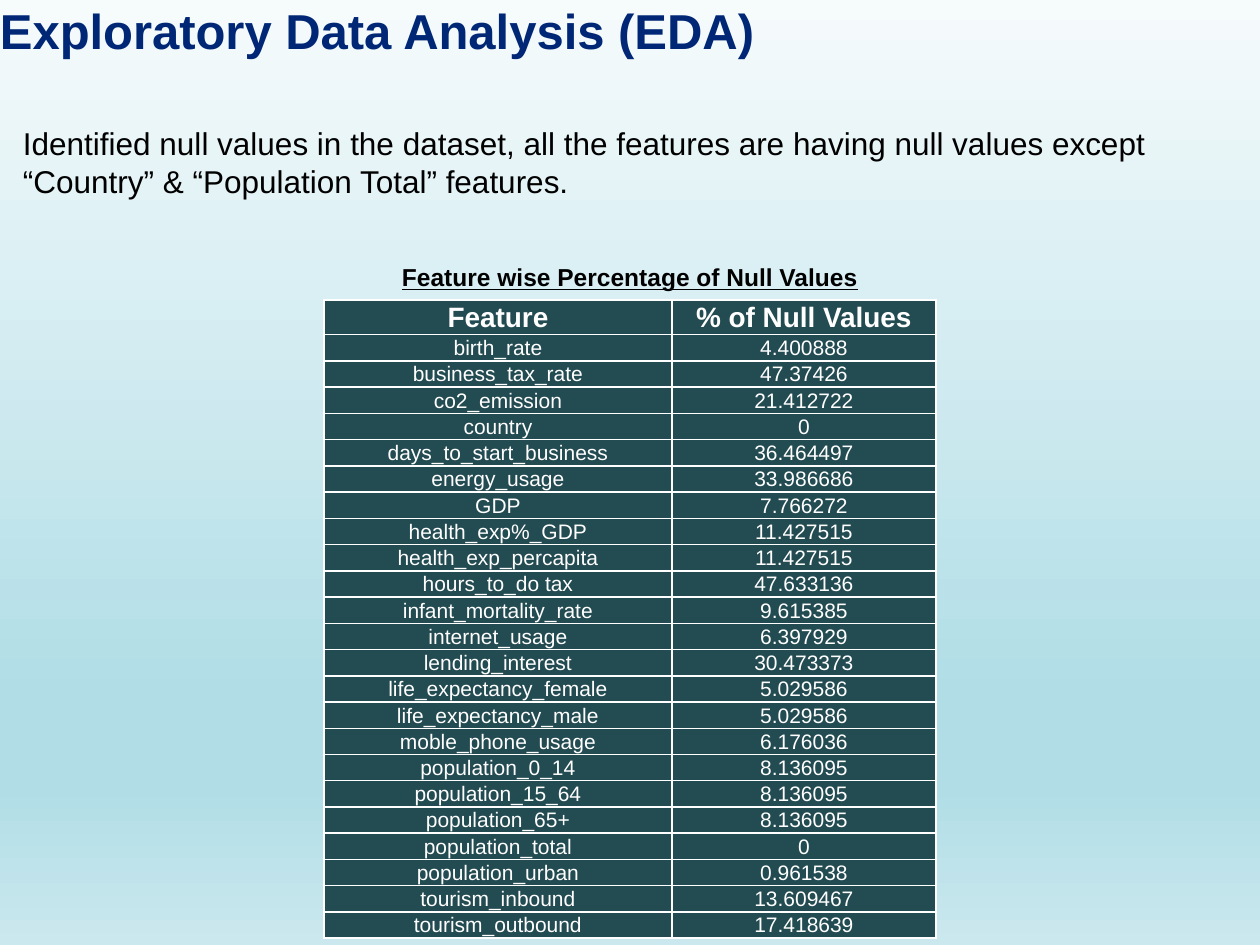
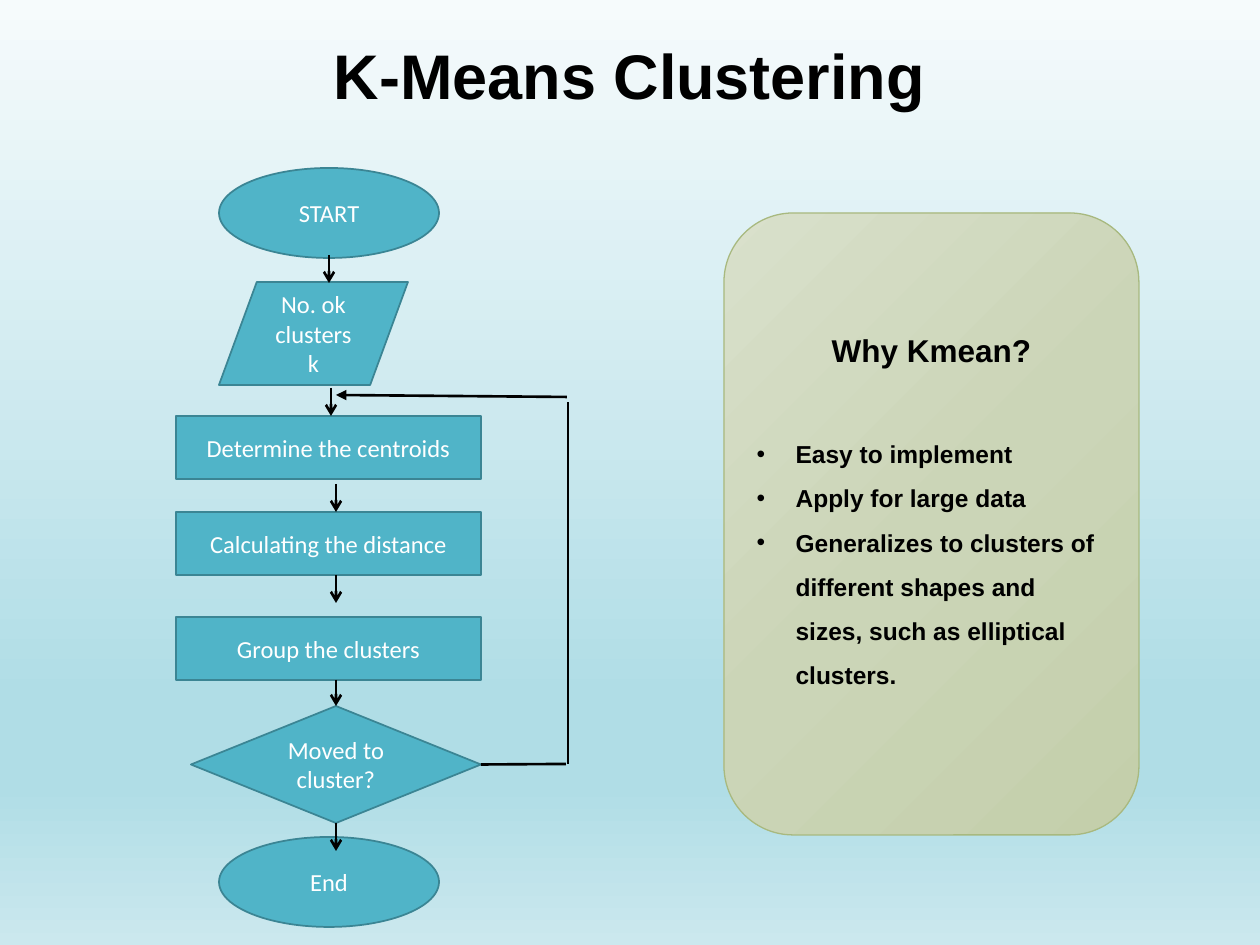
"""Build two slides: a table of null values and a K-Means flowchart."""
import pptx
import pptx.dml.color
import pptx.enum.shapes
import pptx.enum.text
import pptx.oxml
import pptx.oxml.ns
import pptx.util
from lxml import etree

PX = 914400 // 126
Pt = pptx.util.Pt
qn = pptx.oxml.ns.qn
rgb = pptx.dml.color.RGBColor.from_string
SHAPE = pptx.enum.shapes.MSO_SHAPE
ALIGN = pptx.enum.text.PP_ALIGN
MIDDLE = pptx.enum.text.MSO_ANCHOR.MIDDLE

BLACK, WHITE, NAVY = "000000", "FFFFFF", "002776"
TEAL, TEAL_EDGE, TABLE_FILL = "50B4C8", "3B8594", "234B52"
PANEL_EDGE = "A8B97F"
BACKDROP = [(0, "F6FBFC"), (74, "B0DDE6"), (83, "B0DDE6"), (100, "CBE8EE")]
PANEL_FILL = [(0, "D9E0CB"), (50, "CBD5B7"), (100, "C4CFAB")]


def add_run(p, text, size, color, bold=False, font="Arial", align=ALIGN.CENTER):
    """Add one styled run to a paragraph and align it."""
    p.alignment = align
    r = p.add_run()
    r.text = text
    r.font.name, r.font.size, r.font.bold = font, Pt(size), bold
    r.font.color.rgb = rgb(color)
    return r


def set_gradient(fill, element, stops, angle):
    """Give a fill the listed gradient stops, turned clockwise by angle."""
    fill.gradient()
    grad = next(element.iter(qn("a:gradFill")))
    gs_list = grad.find(qn("a:gsLst"))
    for gs in list(gs_list):
        gs_list.remove(gs)
    for position, color in stops:
        gs = etree.SubElement(gs_list, qn("a:gs"), pos=str(position * 1000))
        etree.SubElement(gs, qn("a:srgbClr"), val=color)
    grad.find(qn("a:lin")).set("ang", str(angle * 60000))


prs = pptx.Presentation()
prs.slide_width, prs.slide_height = 1260 * PX, 945 * PX
eda, kmeans = [prs.slides.add_slide(prs.slide_layouts[6]) for _ in range(2)]
for s in (eda, kmeans):
    set_gradient(s.background.fill, s.element, BACKDROP, 90)

texts = [
    (eda, (0, 0, 1172, 118), 0, "Exploratory Data Analysis (EDA)",
     28, NAVY, True, ALIGN.LEFT),
    (eda, (10, 118, 1225, 89), 1,
     "Identified null values in the dataset, all the features are having null "
     "values except “Country” & “Population Total” features.",
     18, BLACK, False, ALIGN.LEFT),
    (eda, (318, 256, 624, 43), 1, "Feature wise Percentage of Null Values",
     14, BLACK, True, ALIGN.CENTER),
    (kmeans, (113, 31, 1033, 89), 1, "K-Means Clustering",
     36, BLACK, True, ALIGN.CENTER),
]
for s, box, inset, text, size, color, bold, align in texts:
    tf = s.shapes.add_textbox(*[v * PX for v in box]).text_frame
    tf.word_wrap = True
    tf.margin_left = tf.margin_right = 13 * inset * PX
    tf.margin_top = tf.margin_bottom = 6 * inset * PX
    r = add_run(tf.paragraphs[0], text, size, color, bold, align=align)
    if text.startswith("Feature wise"):
        r.font.underline = True

rows = [
    ("Feature", "% of Null Values"),
    ("birth_rate", "4.400888"),
    ("business_tax_rate", "47.37426"),
    ("co2_emission", "21.412722"),
    ("country", "0"),
    ("days_to_start_business", "36.464497"),
    ("energy_usage", "33.986686"),
    ("GDP", "7.766272"),
    ("health_exp%_GDP", "11.427515"),
    ("health_exp_percapita", "11.427515"),
    ("hours_to_do tax", "47.633136"),
    ("infant_mortality_rate", "9.615385"),
    ("internet_usage", "6.397929"),
    ("lending_interest", "30.473373"),
    ("life_expectancy_female", "5.029586"),
    ("life_expectancy_male", "5.029586"),
    ("moble_phone_usage", "6.176036"),
    ("population_0_14", "8.136095"),
    ("population_15_64", "8.136095"),
    ("population_65+", "8.136095"),
    ("population_total", "0"),
    ("population_urban", "0.961538"),
    ("tourism_inbound", "13.609467"),
    ("tourism_outbound", "17.418639"),
]
table = eda.shapes.add_table(
    len(rows), 2, 324 * PX, 300 * PX, 612 * PX, 632 * PX).table
table.horz_banding = False
table.columns[0].width, table.columns[1].width = 348 * PX, 264 * PX
for i, row in enumerate(rows):
    header = i == 0
    table.rows[i].height = (34 if header else 26) * PX
    for j, text in enumerate(row):
        cell = table.cell(i, j)
        cell.vertical_anchor = MIDDLE
        cell.margin_left = cell.margin_right = cell.margin_top = PX
        cell.margin_bottom = 0
        tcPr = cell._tc.get_or_add_tcPr()
        for side in ("a:lnL", "a:lnR", "a:lnT", "a:lnB"):
            ln = etree.SubElement(tcPr, qn(side), w=str(Pt(1)))
            solid = etree.SubElement(ln, qn("a:solidFill"))
            etree.SubElement(solid, qn("a:srgbClr"), val=WHITE)
        cell.fill.solid()
        cell.fill.fore_color.rgb = rgb(TABLE_FILL)
        add_run(cell.text_frame.paragraphs[0], text,
                16 if header else 12, WHITE, header)

steps = [
    (SHAPE.OVAL, (219, 168, 220, 90), "START"),
    (SHAPE.FLOWCHART_DATA, (219, 282, 189, 103), "No. ok clusters k"),
    (SHAPE.RECTANGLE, (176, 416, 305, 63), "Determine the centroids"),
    (SHAPE.RECTANGLE, (176, 512, 305, 63), "Calculating the distance"),
    (SHAPE.RECTANGLE, (176, 617, 305, 63), "Group the clusters"),
    (SHAPE.FLOWCHART_DECISION, (191, 706, 290, 117), "Moved to cluster?"),
    (SHAPE.OVAL, (219, 837, 220, 90), "End"),
]
nodes = {}
for kind, box, text in steps:
    sp = kmeans.shapes.add_shape(kind, *[v * PX for v in box])
    sp.shadow.inherit = False
    sp.fill.solid()
    sp.fill.fore_color.rgb = rgb(TEAL)
    sp.line.color.rgb = rgb(TEAL_EDGE)
    sp.line.width = Pt(1)
    tf = sp.text_frame
    tf.word_wrap = True
    tf.vertical_anchor = MIDDLE
    add_run(tf.paragraphs[0], text, 14, WHITE, font="Calibri")
    nodes[text] = sp
decision = nodes["Moved to cluster?"]

arrow_starts = [(329, 255), (331, 388), (336, 484), (336, 575), (336, 680), (336, 823)]
lines = [(x, y, x, y + 28, "arrow") for x, y in arrow_starts]
lines += [
    (481, 764, 566, 764, None),
    (568, 764, 568, 402, None),
    (567, 397, 336, 395, "triangle"),
]
for x1, y1, x2, y2, head in lines:
    line = kmeans.shapes.add_connector(
        pptx.enum.shapes.MSO_CONNECTOR.STRAIGHT, x1 * PX, y1 * PX, x2 * PX, y2 * PX)
    line.line.color.rgb = rgb(BLACK)
    line.line.width = Pt(1.5)
    if head:
        etree.SubElement(line.get_or_add_ln(), qn("a:tailEnd"), type=head)
    etree.SubElement(line.element.spPr, qn("a:effectLst"))
    if (x1, y1) == (336, 680):
        line.end_connect(decision, 0)
    elif (x1, y1) == (336, 823):
        line.begin_connect(decision, 2)
    elif (x1, y1) == (481, 764):
        line.begin_connect(decision, 3)

panel = kmeans.shapes.add_shape(
    SHAPE.ROUNDED_RECTANGLE, 724 * PX, 213 * PX, 415 * PX, 622 * PX)
panel.shadow.inherit = False
set_gradient(panel.fill, panel.element, PANEL_FILL, 45)
panel.line.color.rgb = rgb(PANEL_EDGE)
panel.line.width = Pt(0.75)
tf = panel.text_frame
tf.word_wrap = True
tf.vertical_anchor = MIDDLE
tf.margin_bottom = 34 * PX
add_run(tf.paragraphs[0], "Why Kmean?", 18, BLACK, True)
reasons = [
    "Easy to implement",
    "Apply for large data",
    "Generalizes to clusters of different shapes and sizes, such as elliptical clusters.",
]
for i, reason in enumerate(reasons):
    p = tf.add_paragraph()
    pPr = p._p.get_or_add_pPr()
    pPr.set("marL", str(39 * PX))
    pPr.set("indent", str(-39 * PX))
    bullet_color = etree.SubElement(pPr, qn("a:buClr"))
    etree.SubElement(bullet_color, qn("a:srgbClr"), val=BLACK)
    etree.SubElement(pPr, qn("a:buFont"), typeface="Arial")
    etree.SubElement(pPr, qn("a:buChar"), char="•")
    p.line_spacing = 1.5
    if i == 0:
        p.space_before = Pt(32)
    add_run(p, reason, 14, BLACK, True, align=ALIGN.LEFT)

prs.save("out.pptx")
